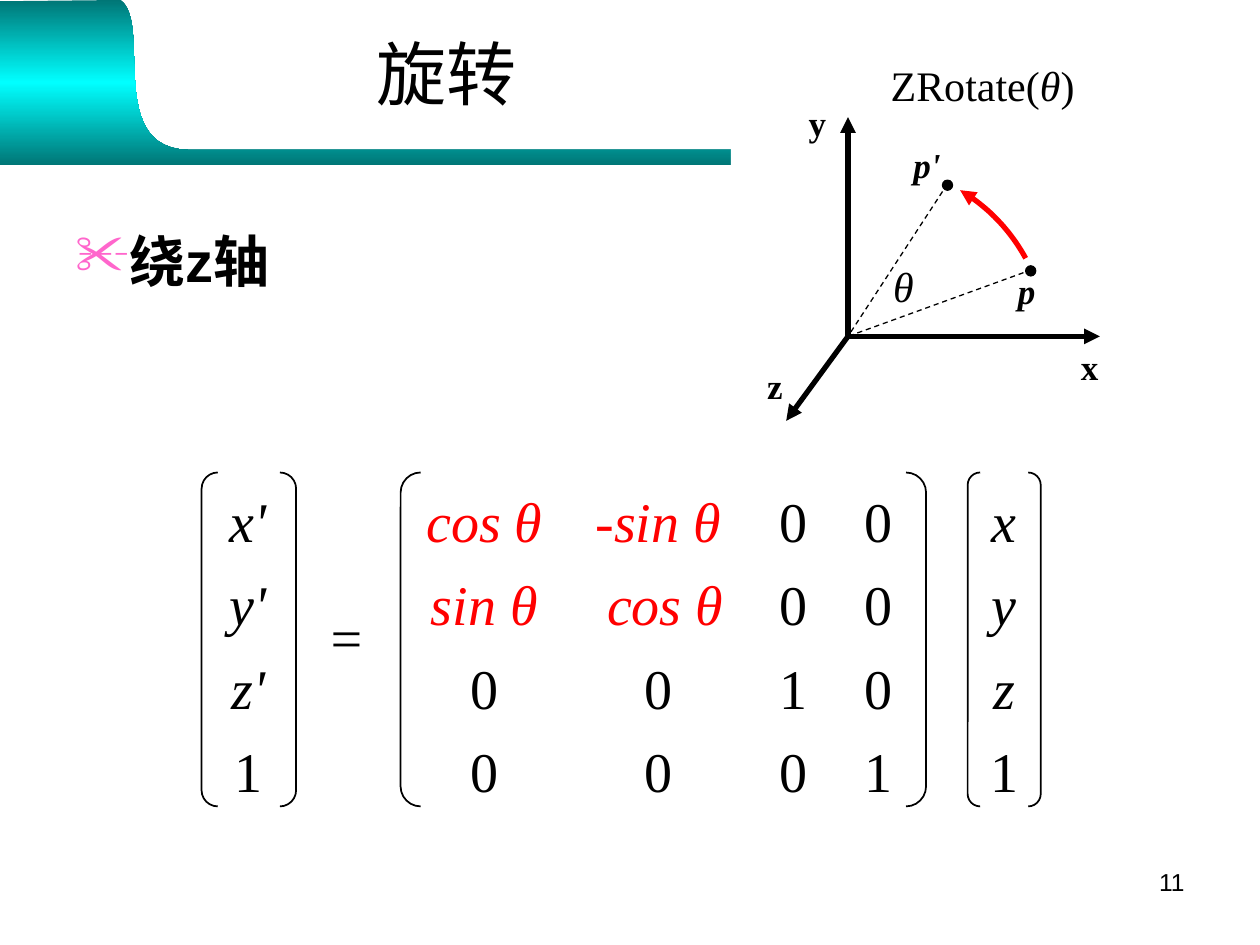
"""Build the slide on rotation about the z axis."""
from dataclasses import dataclass

from lxml import etree
from pptx import Presentation
from pptx.dml.color import RGBColor
from pptx.enum.dml import MSO_LINE
from pptx.enum.shapes import MSO_CONNECTOR, MSO_SHAPE
from pptx.enum.text import MSO_ANCHOR, PP_ALIGN
from pptx.oxml.ns import qn
from pptx.slide import Slide
from pptx.util import Inches, Pt

BLACK = RGBColor(0x00, 0x00, 0x00)
WHITE = RGBColor(0xFF, 0xFF, 0xFF)
RED = RGBColor(0xFF, 0x00, 0x00)
TEAL = RGBColor(0x00, 0x76, 0x76)
CYAN = RGBColor(0x00, 0xFF, 0xFF)
PINK = RGBColor(0xFF, 0x66, 0xCC)

LEFT, CENTER, RIGHT = PP_ALIGN.LEFT, PP_ALIGN.CENTER, PP_ALIGN.RIGHT
TOP, MIDDLE = MSO_ANCHOR.TOP, MSO_ANCHOR.MIDDLE
RECTANGLE, OVAL, BRACKETS = MSO_SHAPE.RECTANGLE, MSO_SHAPE.OVAL, MSO_SHAPE.DOUBLE_BRACKET
STRAIGHT, DASH = MSO_CONNECTOR.STRAIGHT, MSO_LINE.DASH

SANS, SERIF = "Arial", "Times New Roman"
BOX_INSETS = (0.1, 0.05, 0.1, 0.05)
MATRIX_INSETS = (0, 0.05, 0, 0)
MATRIX_TOP, MATRIX_HEIGHT = 3.81, 2.46
BRACKET_TOP, BRACKET_HEIGHT = 3.75, 2.65
ORIGIN = (6.73, 2.67)


def bezier(start, first, second, end, steps=24):
    """Return the points of a cubic curve after its start."""
    points = []
    for step in range(1, steps + 1):
        t = step / steps
        weights = ((1 - t) ** 3, 3 * t * (1 - t) ** 2, 3 * t * t * (1 - t), t ** 3)
        points.append(tuple(sum(w * p[axis] for w, p in zip(weights, (start, first, second, end)))
                            for axis in (0, 1)))
    return points


def write(paragraph, text, *, size, font=SERIF, color=BLACK, bold=False, italic=False):
    """Add one formatted run to a paragraph."""
    run = paragraph.add_run()
    run.text = text
    run.font.name = font
    run.font.size = Pt(size)
    run.font.bold = bold
    run.font.italic = italic
    run.font.color.rgb = color


@dataclass
class Board:
    """Hold the slide and the style shared by its elements."""

    slide: Slide
    axis_width: float = 3
    thin_width: float = 0.75
    bracket_width: float = 1
    row_gap: float = 9.3

    def text(self, place, *lines, align=LEFT, anchor=TOP, insets=BOX_INSETS, wrap=True, **style):
        """Add a text box whose lines are lists of (text, changes) runs."""
        box = self.slide.shapes.add_textbox(*map(Inches, place))
        frame = box.text_frame
        frame.word_wrap = wrap
        frame.vertical_anchor = anchor
        (frame.margin_left, frame.margin_top,
         frame.margin_right, frame.margin_bottom) = map(Inches, insets)
        for index, line in enumerate(lines):
            paragraph = frame.add_paragraph() if index else frame.paragraphs[0]
            paragraph.alignment = align
            if index:
                paragraph.space_before = Pt(self.row_gap)
            for content, changes in line:
                write(paragraph, content, **{**style, **changes})
        return frame

    def bullet(self, paragraph, mark, color, indent):
        """Give a paragraph a coloured bullet and a hanging indent."""
        properties = paragraph._p.get_or_add_pPr()
        properties.set("marL", str(Inches(indent)))
        properties.set("indent", str(-Inches(indent)))
        tint = etree.SubElement(properties, qn("a:buClr"))
        etree.SubElement(tint, qn("a:srgbClr"), val=str(color))
        etree.SubElement(properties, qn("a:buChar"), char=mark)

    def column(self, left, width, entries, top=MATRIX_TOP):
        """Add one matrix column: digits upright, names italic, angle terms red."""
        lines = [[(entry, {"italic": not entry.isdigit(), "color": RED if "θ" in entry else BLACK})]
                 for entry in entries]
        return self.text((left, top, width, MATRIX_HEIGHT), *lines,
                         align=CENTER, insets=MATRIX_INSETS, size=32)

    def shape(self, preset, place, fill=None, line_width=None):
        """Add a preset shape with an optional fill and black outline."""
        shape = self.slide.shapes.add_shape(preset, *map(Inches, place))
        shape.shadow.inherit = False
        if fill is None:
            shape.fill.background()
        else:
            shape.fill.solid()
            shape.fill.fore_color.rgb = fill
        if line_width is None:
            shape.line.fill.background()
        else:
            shape.line.color.rgb = BLACK
            shape.line.width = Pt(line_width)
        return shape

    def brackets(self, left, width, rounding):
        """Add the pair of brackets round a matrix."""
        pair = self.shape(BRACKETS, (left, BRACKET_TOP, width, BRACKET_HEIGHT),
                          line_width=self.bracket_width)
        pair.adjustments[0] = rounding

    def outline(self, points, close):
        """Add a freeform through points given in inches."""
        start, *rest = [tuple(map(Inches, point)) for point in points]
        builder = self.slide.shapes.build_freeform(*start)
        builder.add_line_segments(rest, close=close)
        shape = builder.convert_to_shape()
        shape.shadow.inherit = False
        return shape

    def arrowhead(self, stroke, end):
        """Put a triangle on the headEnd or tailEnd of a stroke."""
        etree.SubElement(stroke.get_or_add_ln(), qn(f"a:{end}"), type="triangle")

    def line(self, start, end, width, arrow=False):
        """Add a solid axis arrow or a dashed ray."""
        connector = self.slide.shapes.add_connector(STRAIGHT, *map(Inches, (*start, *end)))
        connector.line.color.rgb = BLACK
        connector.line.width = Pt(width)
        if arrow:
            self.arrowhead(connector, "tailEnd")
        else:
            connector.line.dash_style = DASH
        etree.SubElement(connector._element.spPr, qn("a:effectLst"))


def main():
    """Build and save the slide."""
    deck = Presentation()
    deck.slide_width, deck.slide_height = Inches(10), Inches(7.5)
    board = Board(deck.slides.add_slide(deck.slide_layouts[6]))

    sweep = bezier((0.96, 0), (1.21, 0.2), (0.83, 1.19), (1.51, 1.19))
    flare = bezier((1.51, 1.19), (1.99, 1.19), (10, 1.19), (10, 1.19))
    banner = board.outline([(10, 1.31), (0, 1.31), (0, 0.01), (0.96, 0), *sweep, *flare], True)
    banner.line.fill.background()
    banner.fill.gradient()
    banner.fill.gradient_angle = 270
    stops = banner._element.spPr.find(qn("a:gradFill")).find(qn("a:gsLst"))
    for stop in list(stops):
        stops.remove(stop)
    for position, color in ((0, TEAL), (50000, CYAN), (100000, TEAL)):
        stop = etree.SubElement(stops, qn("a:gs"), pos=str(position))
        etree.SubElement(stop, qn("a:srgbClr"), val=str(color))

    board.text((7.17, 6.83, 2.33, 0.52), [("11", {})], align=RIGHT, size=14, font=SANS)
    board.shape(RECTANGLE, (5.8, 0.19, 4.2, 1.61), fill=WHITE)
    board.text((0.5, 0, 6.08, 1.15), [("旋转", {})], align=CENTER, anchor=MIDDLE, size=40, font=SANS)
    topic = board.text((0.5, 1.75, 9, 4.95), [("绕z轴", {})], size=32, font=SANS, bold=True)
    board.bullet(topic.paragraphs[0], "✂", PINK, 0.38)

    for left, width, rounding in ((3.18, 4.17, 0.06), (1.6, 0.75, 0.171), (7.68, 0.58, 0.171)):
        board.brackets(left, width, rounding)
    board.column(1.68, 0.58, ("x'", "y'", "z'", "1"))
    board.text((2.6, 4.73, 0.33, 0.53), [("=", {})], insets=MATRIX_INSETS, size=32, italic=True)
    board.column(7.68, 0.58, "xyz1")
    board.column(3.26, 1.17, ("cos θ", "sin θ", "0", "0"))
    sine_column = board.column(4.6, 1.25, ("-sin θ", "cos θ", "0", "0"))
    sine_column.paragraphs[1]._p.get_or_add_pPr().set("marL", str(Inches(0.11)))
    board.column(6.01, 0.58, "0010")
    board.column(6.68, 0.58, "0001")

    for left, top in ((8.14, 2.11), (7.48, 1.43)):
        board.shape(OVAL, (left, top, 0.08, 0.08), fill=BLACK, line_width=board.thin_width)
    board.text((6.97, 0.42, 2.59, 0.5),
               [("ZRotate(", {}), ("θ", {"italic": True}), (")", {})], size=24)
    for tip in ((6.73, 0.93), (8.73, 2.67), (6.24, 3.34)):
        board.line(ORIGIN, tip, board.axis_width, arrow=True)
    for name, left, top, width in (("x", 8.48, 2.69, 0.33), ("y", 6.32, 0.76, 0.33),
                                   ("z", 5.99, 2.84, 0.33), ("p", 7.98, 2.09, 0.33),
                                   ("p'", 7.15, 1.09, 0.5)):
        board.text((left, top, width, 0.44), [(name, {})], size=20, bold=True, italic="p" in name)

    turn_end = (7.62, 1.51)
    turn = board.outline([turn_end, *bezier(turn_end, (7.84, 1.64), (8.02, 1.83), (8.14, 2.05))], False)
    turn.fill.background()
    turn.line.color.rgb = RED
    turn.line.width = Pt(board.axis_width)
    board.arrowhead(turn, "headEnd")
    for point in ((7.52, 1.46), (8.19, 2.14)):
        board.line(point, ORIGIN, board.thin_width)
    board.text((6.99, 2.02, 0.36, 0.5), [("θ", {})], wrap=False, size=24, italic=True)

    deck.save("out.pptx")


if __name__ == "__main__":
    main()
